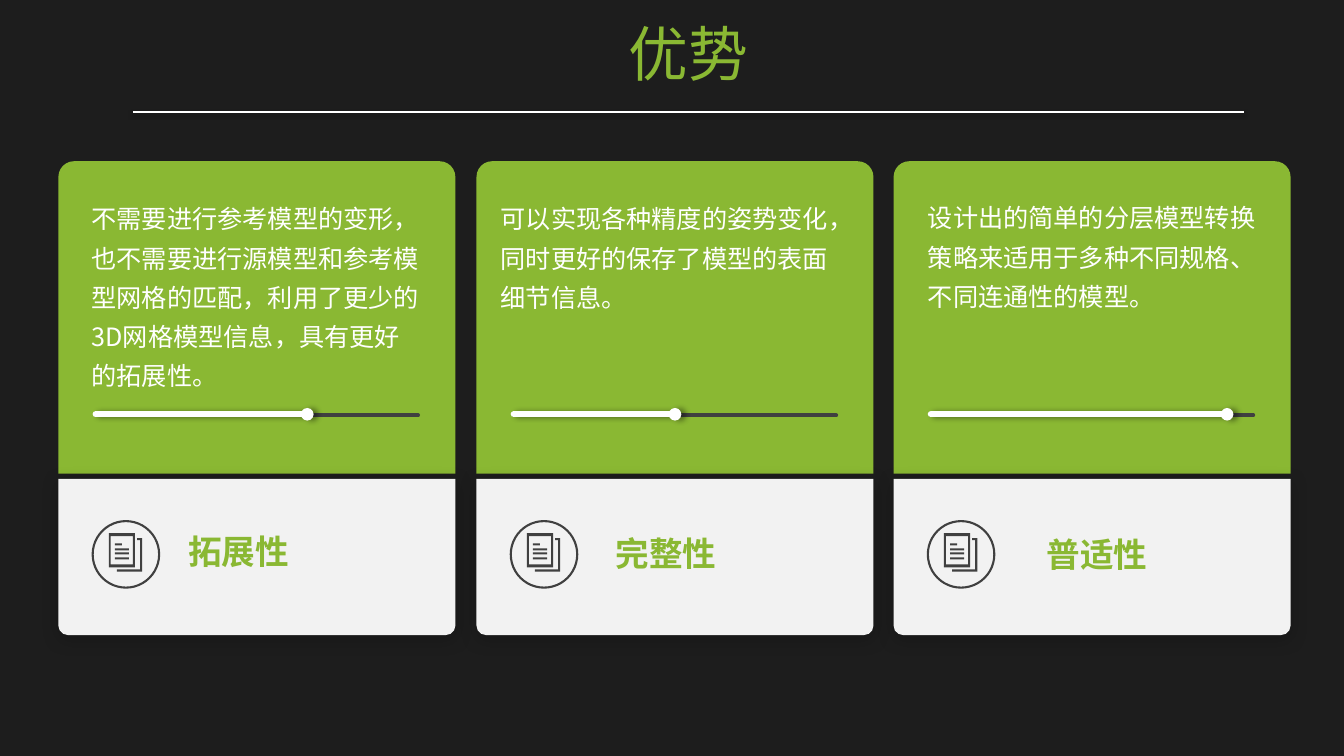
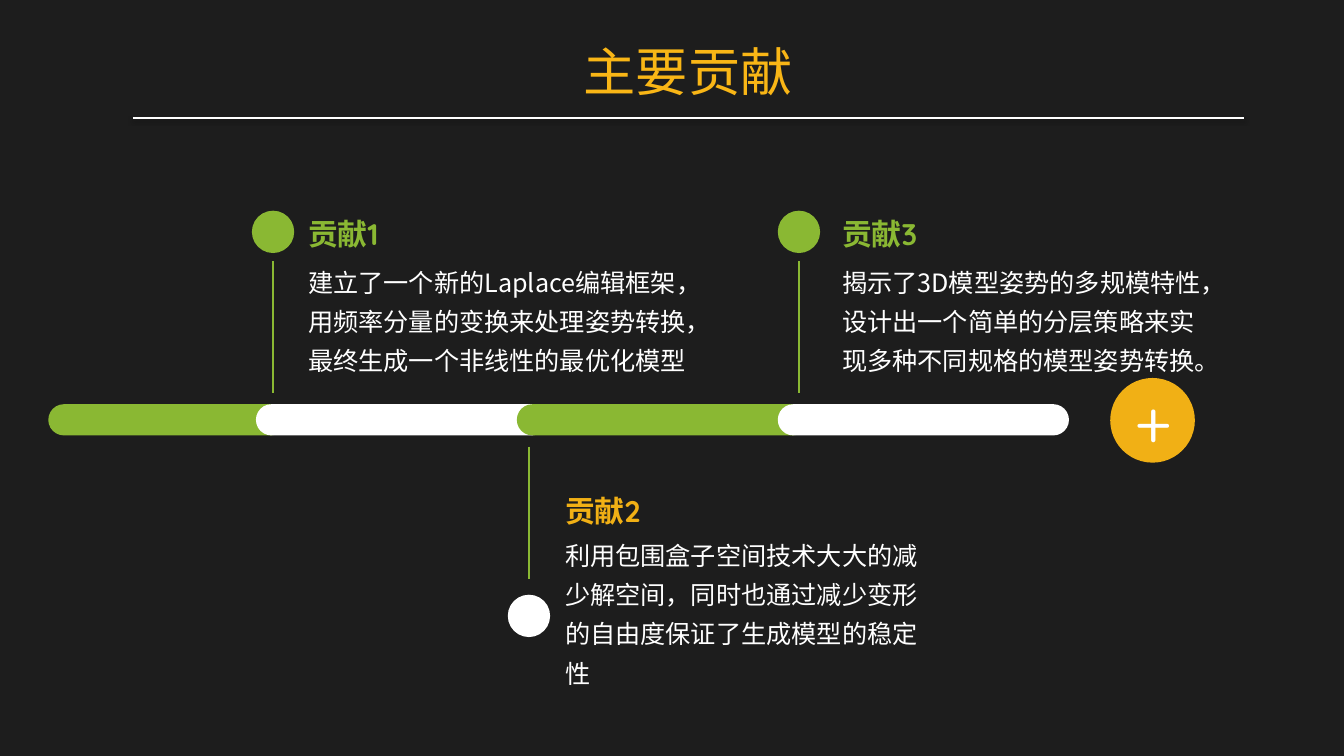
"""Build two dark slides: advantage cards and a contribution timeline."""
import math

import lxml.etree
import pptx
import pptx.dml.color
import pptx.enum.shapes
import pptx.enum.text
import pptx.oxml.ns
import pptx.util

PX = 9144
SHAPE = pptx.enum.shapes.MSO_SHAPE
CENTER = pptx.enum.text.PP_ALIGN.CENTER
NOTO, QUICKSAND = "Noto Sans CJK SC", "Quicksand"
DARK, GRAPHITE, PALE, WHITE = "1D1D1D", "404040", "F2F2F2", "FFFFFF"
GREEN, AMBER, TITLE_AMBER = "8AB833", "F1B015", "F9B616"
RULE_SHADOW = (38, 3.1, 1.6, 90)
CARD_SHADOW = (20, 13, 3, 90)
SLIDER_SHADOW = (40, 4, 3, 0)
CARD_INSETS = (13, 7)

ADVANTAGES = [
    {"name": "拓展性", "name_at": (111, 522), "body_at": (20, 186), "body_height": 210, "progress": 210,
     "body": "不需要进行参考模型的变形，也不需要进行源模型和参考模型网格的匹配，利用了更少的3D网格模型信息，具有更好的拓展性。"},
    {"name": "完整性", "name_at": (120, 524), "body_at": (11, 186), "body_height": 132, "progress": 160,
     "body": "可以实现各种精度的姿势变化，同时更好的保存了模型的表面细节信息。"},
    {"name": "普适性", "name_at": (134, 525), "body_at": (21, 185), "body_height": 132, "progress": 294,
     "body": "设计出的简单的分层模型转换策略来适用于多种不同规格、不同连通性的模型。"},
]
CONTRIBUTIONS = [
    {"name": "贡献1", "color": GREEN, "dot": (250, 209, GREEN), "stem_top": 259,
     "name_at": (296, 209), "body_box": (296, 251, 421, 128),
     "body": "建立了一个新的Laplace编辑框架，用频率分量的变换来处理姿势转换，最终生成一个非线性的最优化模型"},
    {"name": "贡献2", "color": AMBER, "dot": (504, 590, WHITE), "stem_top": 443,
     "name_at": (551, 484), "body_box": (551, 522, 391, 168),
     "body": "利用包围盒子空间技术大大的减少解空间，同时也通过减少变形的自由度保证了生成模型的稳定性"},
    {"name": "贡献3", "color": GREEN, "dot": (772, 209, GREEN), "stem_top": 259,
     "name_at": (826, 209), "body_box": (826, 251, 391, 128),
     "body": "揭示了3D模型姿势的多规模特性，设计出一个简单的分层策略来实现多种不同规格的模型姿势转换。"},
]


def emu(*lengths):
    """Turn px lengths into EMU."""
    return [pptx.util.Emu(length * PX) for length in lengths]


def rgb(color):
    """Turn a hex string into a colour."""
    return pptx.dml.color.RGBColor.from_string(color)


def add_child(parent, tag, **attributes):
    """Append one drawing element with its attributes."""
    child = lxml.etree.SubElement(parent, pptx.oxml.ns.qn(tag))
    for key, value in attributes.items():
        child.set(key, str(value))
    return child


def fill_effects(effects, shadow):
    """Put an outer shadow into an effect list, if there is one."""
    if shadow:
        alpha, blur, distance, angle = shadow
        outer = add_child(effects, "a:outerShdw", blurRad=pptx.util.Pt(blur),
                          dist=pptx.util.Pt(distance), dir=angle * 60000, rotWithShape=0)
        black = add_child(outer, "a:srgbClr", val="000000")
        add_child(black, "a:alpha", val=alpha * 1000)


def style_shape(shape, fill=None, outline=None, shadow=None):
    """Set the fill, outline and shadow of a shape."""
    if fill:
        shape.fill.solid()
        shape.fill.fore_color.rgb = rgb(fill)
    else:
        shape.fill.background()
    if outline:
        shape.line.color.rgb = rgb(outline)
        shape.line.width = pptx.util.Pt(1.5)
    else:
        shape.line.fill.background()
    shape.shadow.inherit = False
    fill_effects(shape.element.spPr.find(pptx.oxml.ns.qn("a:effectLst")), shadow)


def add_figure(shapes, preset, box, fill=None, outline=None, shadow=None, adjustments=()):
    """Add a preset shape."""
    figure = shapes.add_shape(preset, *emu(*box))
    for index, value in enumerate(adjustments):
        figure.adjustments[index] = value
    style_shape(figure, fill, outline, shadow)


def add_outline(shapes, contours, fill):
    """Add a filled outline made of closed contours."""
    builder = shapes.build_freeform(*contours[0][0], scale=PX)
    for index, contour in enumerate(contours):
        if index:
            builder.move_to(*contour[0])
        builder.add_line_segments(contour[1:], close=True)
    style_shape(builder.convert_to_shape(), fill)


def add_line(shapes, start, end, color, width, shadow=None, rounded=False, knob=False):
    """Add a straight line, with a round knob at its end on request."""
    line = shapes.add_connector(pptx.enum.shapes.MSO_CONNECTOR.STRAIGHT, *emu(*start, *end))
    line.line.color.rgb = rgb(color)
    line.line.width = pptx.util.Pt(width)
    properties = line.element.spPr
    stroke = properties.find(pptx.oxml.ns.qn("a:ln"))
    if rounded:
        stroke.set("cap", "rnd")
    if knob:
        add_child(stroke, "a:tailEnd", type="oval", w="sm", len="sm")
    fill_effects(add_child(properties, "a:effectLst"), shadow)


def add_text(shapes, box, text, size, color, font=NOTO, bold=False, align=None,
             spacing=None, insets=(10, 5), wrap=True):
    """Add a text box with one run."""
    frame = shapes.add_textbox(*emu(*box)).text_frame
    frame.word_wrap = wrap
    frame.auto_size = pptx.enum.text.MSO_AUTO_SIZE.SHAPE_TO_FIT_TEXT
    frame.margin_left = frame.margin_right = emu(insets[0])[0]
    frame.margin_top = frame.margin_bottom = emu(insets[1])[0]
    paragraph = frame.paragraphs[0]
    paragraph.alignment = align
    paragraph.line_spacing = spacing
    run = paragraph.add_run()
    run.text = text
    run.font.size = pptx.util.Pt(size)
    run.font.bold = bold
    run.font.color.rgb = rgb(color)
    run.font.name = font
    add_child(run.font._element, "a:ea", typeface=NOTO)


def add_heading(shapes, box, text, size, color, font, rule_y):
    """Add the slide title and the rule under it."""
    add_text(shapes, box, text, size, color, font, align=CENTER)
    add_line(shapes, (132, rule_y), (1235, rule_y), WHITE, 1, RULE_SHADOW)


def add_document_icon(shapes, left, top):
    """Add a ringed icon of two stacked pages."""
    icon = shapes.add_group_shape().shapes
    add_figure(icon, SHAPE.OVAL, (left, top, 66, 66), outline=GRAPHITE)
    contours = [
        [[(16, 12), (42, 12), (42, 46), (16, 46)], [(18, 15), (40, 15), (40, 43), (18, 43)]],
        [[(49, 50), (24, 50), (24, 48), (47, 48), (47, 19), (44, 19), (44, 17), (49, 17)]],
    ]
    for page in contours:
        add_outline(icon, [[(left + x, top + y) for x, y in contour] for contour in page], GRAPHITE)
    for offset, width in ((22, 7), (27, 14), (31, 14), (36, 14)):
        add_figure(icon, SHAPE.RECTANGLE, (left + 22, top + offset, width, 2), GRAPHITE)


def add_card(shapes, left, advantage):
    """Add one advantage card."""
    add_figure(shapes, SHAPE.ROUND_2_SAME_RECTANGLE, (left, 160, 394, 310), GREEN,
               adjustments=(0.05, 0))
    add_figure(shapes, SHAPE.ROUND_2_SAME_RECTANGLE, (left, 475, 394, 155), PALE,
               shadow=CARD_SHADOW, adjustments=(0, 0.06))
    track = left + 37
    add_line(shapes, (track, 412), (track + 320, 412), GRAPHITE, 2.75, rounded=True)
    add_line(shapes, (track, 411), (track + advantage["progress"], 411), WHITE, 4.5,
             SLIDER_SHADOW, rounded=True, knob=True)
    add_document_icon(shapes, left + 34, 517)
    body_x, body_y = advantage["body_at"]
    add_text(shapes, (left + body_x, body_y, 353, advantage["body_height"]), advantage["body"],
             18, WHITE, spacing=1.3, insets=CARD_INSETS)
    name_x, name_y = advantage["name_at"]
    add_text(shapes, (left + name_x, name_y, 136, 50), advantage["name"], 24, GREEN,
             bold=True, align=CENTER)


def add_contribution(shapes, contribution):
    """Add one timeline entry with its dot and stem."""
    dot_x, dot_y, dot_color = contribution["dot"]
    stem_x, stem_top = dot_x + 21, contribution["stem_top"]
    add_figure(shapes, SHAPE.OVAL, (dot_x, dot_y, 42, 42), dot_color)
    add_line(shapes, (stem_x, stem_top), (stem_x, stem_top + 131), GREEN, 1.5)
    add_text(shapes, (*contribution["name_at"], 282, 46), contribution["name"], 21.3,
             contribution["color"], QUICKSAND, bold=True)
    add_text(shapes, contribution["body_box"], contribution["body"], 18, WHITE, spacing=1.3)


def add_plus_badge(shapes):
    """Add the round badge that closes the timeline."""
    badge = shapes.add_group_shape().shapes
    add_figure(badge, SHAPE.OVAL, (1102, 375, 84, 84), AMBER)
    add_text(badge, (1116, 377, 61, 83), "+", 48, WHITE, QUICKSAND, spacing=0.9, wrap=False)


def build_advantages(shapes):
    """Fill the slide of advantages."""
    add_heading(shapes, (214, 12, 939, 82), "优势", 42.7, GREEN, NOTO, 111)
    for index, advantage in enumerate(ADVANTAGES):
        add_card(shapes, 58 + math.ceil(index * 414.5), advantage)


def build_contributions(shapes):
    """Fill the slide of contributions."""
    add_figure(shapes, SHAPE.ROUNDED_RECTANGLE, (48, 401, 236, 31), GREEN, adjustments=(0.5,))
    for index, color in enumerate((WHITE, GREEN, WHITE)):
        add_figure(shapes, SHAPE.ROUNDED_RECTANGLE, (254 + 259 * index, 401, 289, 31), color,
                   adjustments=(0.5,))
    for contribution in CONTRIBUTIONS:
        add_contribution(shapes, contribution)
    add_plus_badge(shapes)
    add_heading(shapes, (456, 34, 454, 73), "主要贡献", 37.3, TITLE_AMBER, QUICKSAND, 117)


def main():
    """Build and save the presentation."""
    deck = pptx.Presentation()
    deck.slide_width, deck.slide_height = emu(1334, 750)
    backdrop = deck.slide_master.background.fill
    backdrop.solid()
    backdrop.fore_color.rgb = rgb(DARK)
    for build in (build_advantages, build_contributions):
        build(deck.slides.add_slide(deck.slide_layouts[6]).shapes)
    deck.save("out.pptx")


if __name__ == "__main__":
    main()
